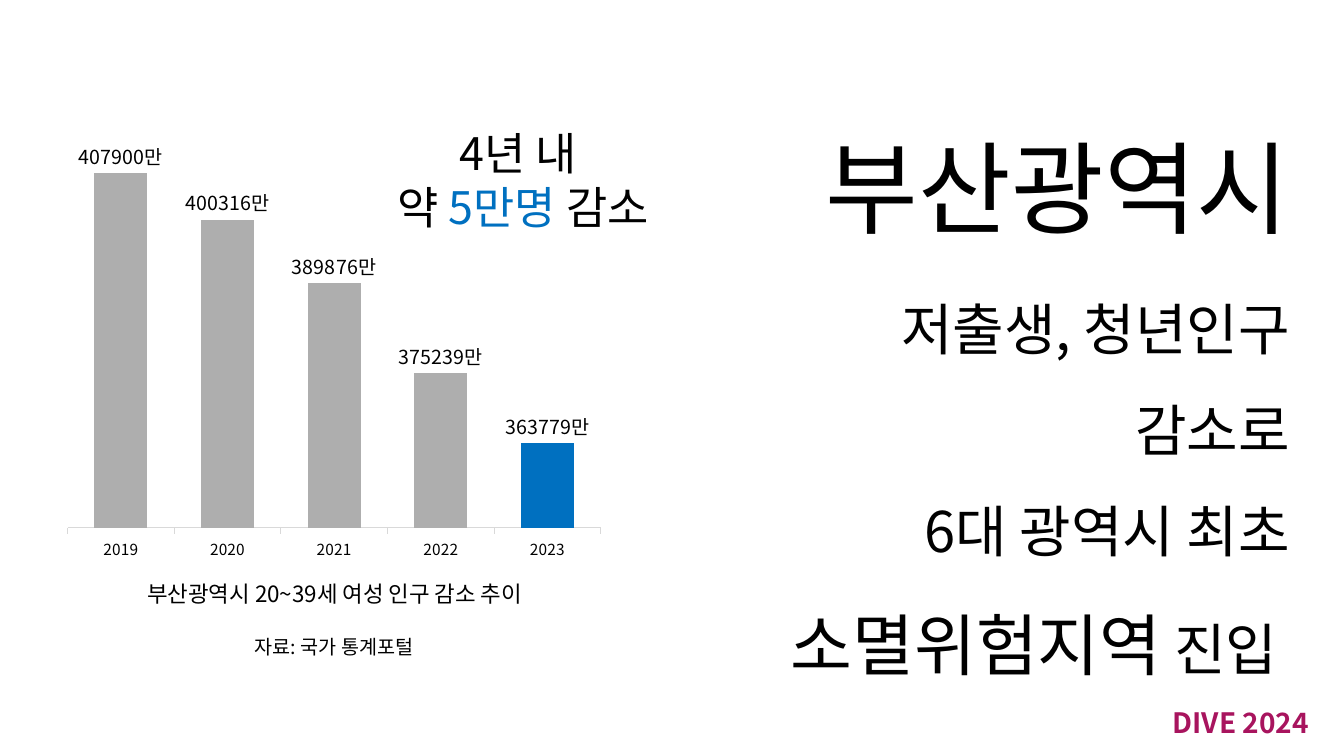
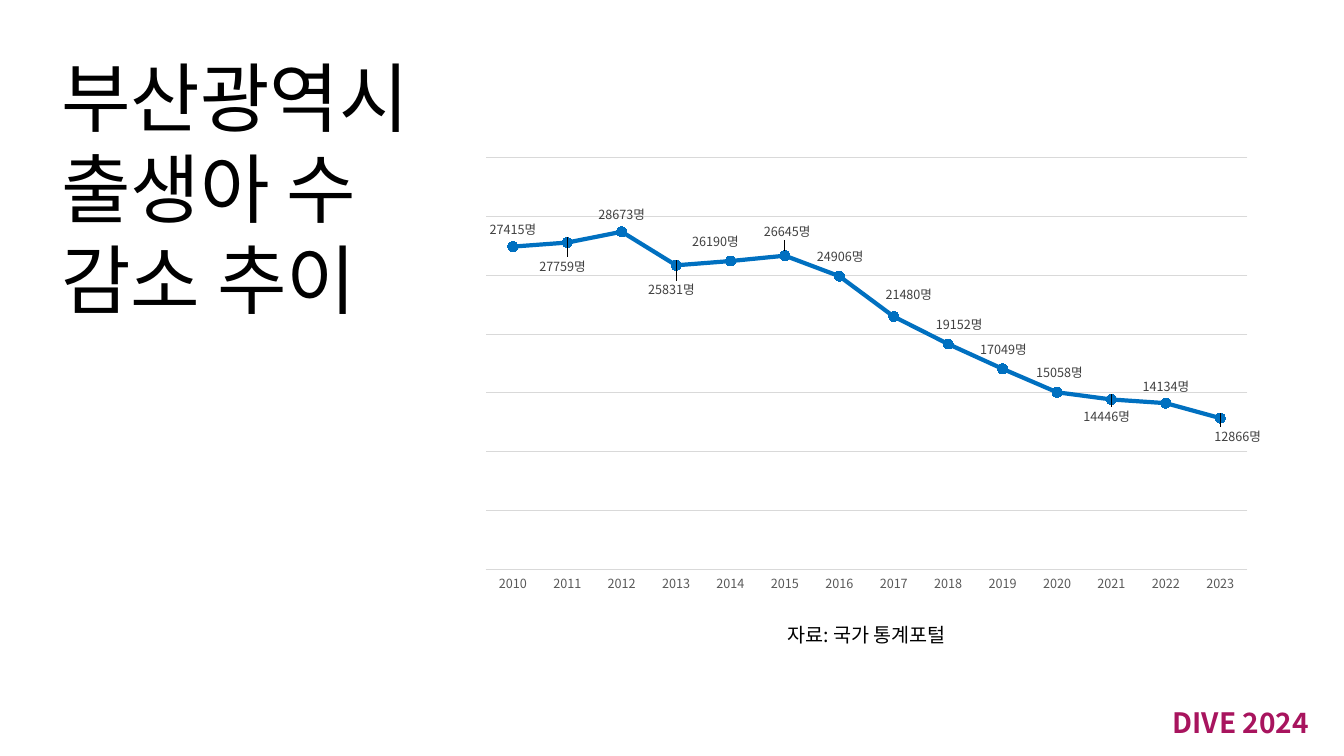
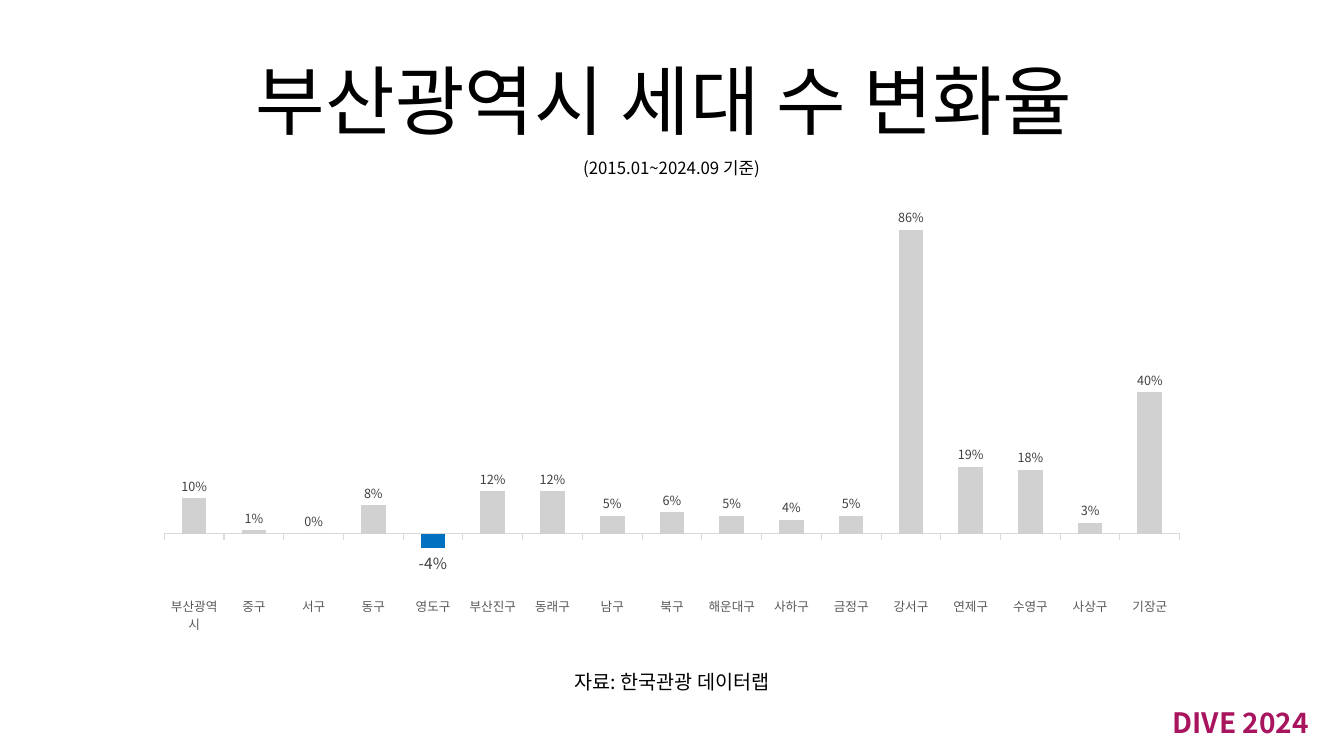
from lxml.etree import SubElement
from pptx import Presentation
from pptx.chart.data import CategoryChartData
from pptx.dml.color import RGBColor
from pptx.enum.chart import (XL_CHART_TYPE, XL_LABEL_POSITION, XL_MARKER_STYLE,
                             XL_TICK_LABEL_POSITION, XL_TICK_MARK)
from pptx.enum.text import MSO_ANCHOR, MSO_AUTO_SIZE, PP_ALIGN
from pptx.oxml import parse_xml
from pptx.oxml.ns import nsdecls, qn
from pptx.util import Inches, Pt

FONT = "Noto Sans CJK KR"
BLACK, BLUE, RULE = "000000", "0070C0", "D9D9D9"
AXIS_GREY, LABEL_GREY = "595959", "404040"
BRAND_STOPS = ((0, "501649"), (64, "A8145E"), (100, "F21A7C"))
LEFT, CENTER, RIGHT = PP_ALIGN.LEFT, PP_ALIGN.CENTER, PP_ALIGN.RIGHT


def color(value):
    """Turn a hex string into a colour."""
    return RGBColor.from_string(value)


def style_font(font, size, fill=BLACK, bold=False):
    """Give a font the deck's typeface, a size and a colour."""
    font.size, font.bold, font.name = Pt(size), bold, FONT
    font.fill.solid()
    font.fill.fore_color.rgb = color(fill)
    SubElement(font._rPr, qn("a:ea")).set("typeface", FONT)


def add_text(page, box, paragraphs, size, align=CENTER, fill=BLACK, bold=False,
             spacing=None, anchor=MSO_ANCHOR.TOP):
    """Place paragraphs, each a string or a list of (text, format) spans."""
    shape = page.shapes.add_textbox(*map(Inches, box))
    frame = shape.text_frame
    frame.word_wrap = True
    frame.vertical_anchor = anchor
    if anchor == MSO_ANCHOR.TOP:
        frame.auto_size = MSO_AUTO_SIZE.SHAPE_TO_FIT_TEXT
    for index, spans in enumerate(paragraphs):
        para = frame.add_paragraph() if index else frame.paragraphs[0]
        para.alignment = align
        if spacing:
            para.line_spacing = spacing
        for text, changes in [(spans, {})] if isinstance(spans, str) else spans:
            span = para.add_run()
            span.text = text
            style_font(span.font, **{"size": size, "fill": fill, "bold": bold, **changes})
    return shape


def add_brand(page):
    """Place the gradient event name at the lower right."""
    shape = add_text(page, (11.38, 6.95, 1.85, 0.44), ["DIVE 2024"], 20, bold=True)
    properties = shape.text_frame.paragraphs[0].runs[0].font._rPr
    stops = "".join(f'<a:gs pos="{place * 1000}"><a:srgbClr val="{tone}"/></a:gs>'
                    for place, tone in BRAND_STOPS)
    gradient = parse_xml(f'<a:gradFill {nsdecls("a")}><a:gsLst>{stops}</a:gsLst>'
                         '<a:lin ang="5400000" scaled="0"/></a:gradFill>')
    properties.replace(properties.find(qn("a:solidFill")), gradient)


def add_source(page, left, top, name):
    """Place the line that names the data source."""
    add_text(page, (left, top, 3.81, 0.34), [f"자료: {name}"], 14)


def manual_layout(x, y, extra=""):
    """Build a chart layout from fractions of the chart."""
    return parse_xml(f'<c:layout {nsdecls("c")}><c:manualLayout>{extra}'
                     f'<c:x val="{x}"/><c:y val="{y}"/></c:manualLayout></c:layout>')


def add_chart(page, box, kind, categories, values, number_format, position,
              axis_size, label_size, axis_fill=AXIS_GREY, label_fill=LABEL_GREY,
              tick=XL_TICK_MARK.OUTSIDE, low=None, high=None, step=None):
    """Place a one-series chart with value labels and a hidden value axis."""
    data = CategoryChartData()
    data.categories = categories
    data.add_series("Series 1", values)
    chart = page.shapes.add_chart(kind, *map(Inches, box), data).chart
    chart.has_legend = chart.has_title = False
    style_font(chart.font, 10)
    axis = chart.category_axis
    axis.major_tick_mark, axis.minor_tick_mark = tick, XL_TICK_MARK.NONE
    axis.has_major_gridlines = False
    style_font(axis.tick_labels.font, axis_size, axis_fill)
    scale = chart.value_axis
    scale.visible = scale.has_major_gridlines = False
    scale.minimum_scale, scale.maximum_scale, scale.major_unit = low, high, step
    style_line(axis.format.line, RULE, 0.75)
    plot = chart.plots[0]
    plot.vary_by_categories = False
    labels = plot.series[0].data_labels
    labels.show_value, labels.position = True, position
    labels.number_format, labels.number_format_is_linked = number_format, False
    style_font(labels.font, label_size, label_fill)
    return chart


def style_line(line, fill, width):
    """Set a line's colour and width."""
    line.color.rgb, line.width = color(fill), Pt(width)


def fill_columns(chart, fill, gap, overlap, highlight):
    """Colour the columns and pick one out in blue."""
    plot = chart.plots[0]
    plot.gap_width, plot.overlap = gap, overlap
    series = plot.series[0]
    series.invert_if_negative = False
    for target, tone in ((series, fill), (series.points[highlight], BLUE)):
        target.format.fill.solid()
        target.format.fill.fore_color.rgb = color(tone)


def format_point_label(series, index, size, position, number_format, shift=None):
    """Format one point's label and move it by percentages of the chart."""
    label = series.points[index].data_label
    style_font(label.font, size, LABEL_GREY)
    label.position = position
    entry = next(item for item in series._element.iter(qn("c:dLbl"))
                 if item.find(qn("c:idx")).get("val") == str(index))
    code = parse_xml(f'<c:numFmt {nsdecls("c")} sourceLinked="0"/>')
    code.set("formatCode", number_format)
    previous = entry.find(qn("c:idx"))
    if shift:
        layout = manual_layout(shift[0] / 100, shift[1] / 100)
        previous.addnext(layout)
        previous = layout
    previous.addnext(code)


def women_chart(page, box):
    """Place the column chart of women aged 20 to 39."""
    chart = add_chart(page, box, XL_CHART_TYPE.COLUMN_CLUSTERED,
                      [str(year) for year in range(2019, 2024)],
                      [407900, 400316, 389876, 375239, 363779],
                      '#"만"', XL_LABEL_POSITION.OUTSIDE_END, 11, 14, BLACK, BLACK,
                      low=350000, high=415000, step=5000)
    fill_columns(chart, "AEAEAE", 101, -18, 4)
    area = chart._chartSpace.chart.plotArea
    for layout in area.findall(qn("c:layout")):
        area.remove(layout)
    layout = manual_layout(0.02, 0.02, '<c:layoutTarget val="inner"/>'
                           '<c:xMode val="edge"/><c:yMode val="edge"/>')
    for name, share in (("c:w", 0.96), ("c:h", 0.92)):
        SubElement(layout[0], qn(name)).set("val", str(share))
    area.insert(0, layout)


def births_chart(page, box):
    """Place the line chart of births."""
    number_format, position = '#"명"', XL_LABEL_POSITION.ABOVE
    chart = add_chart(page, box, XL_CHART_TYPE.LINE_MARKERS,
                      [str(year) for year in range(2010, 2024)],
                      [27415, 27759, 28673, 25831, 26190, 26645, 24906,
                       21480, 19152, 17049, 15058, 14446, 14134, 12866],
                      number_format, position, 9, 9, tick=XL_TICK_MARK.NONE,
                      low=0, high=35000, step=5000)
    chart.value_axis.has_major_gridlines = True
    style_line(chart.value_axis.major_gridlines.format.line, RULE, 0.75)
    series = chart.plots[0].series[0]
    series.smooth = False
    style_line(series.format.line, BLUE, 3)
    marker = series.marker
    marker.style, marker.size = XL_MARKER_STYLE.CIRCLE, 7
    marker.format.fill.solid()
    marker.format.fill.fore_color.rgb = color(BLUE)
    style_line(marker.format.line, BLUE, 0.75)
    shifts = {1: (-0.6, 9), 3: (-0.6, 9.2), 4: (-1.9, -0.5), 5: (0.3, -1.5),
              6: (0.1, -0.5), 7: (1.9, -1.1), 8: (1.4, -0.5), 9: (0.1, -0.5),
              10: (0.3, -0.5), 11: (-0.6, 7.5), 13: (2.2, 7.8)}
    for index, shift in shifts.items():
        format_point_label(series, index, 9, position, number_format, shift)


def households_chart(page, box):
    """Place the column chart of household change by district."""
    position = XL_LABEL_POSITION.OUTSIDE_END
    districts = ("부산광역시 중구 서구 동구 영도구 부산진구 동래구 남구 북구 "
                 "해운대구 사하구 금정구 강서구 연제구 수영구 사상구 기장군").split()
    rates = [0.1, 0.01, 0, 0.08, -0.04, 0.12, 0.12, 0.05, 0.06,
             0.05, 0.04, 0.05, 0.86, 0.19, 0.18, 0.03, 0.4]
    chart = add_chart(page, box, XL_CHART_TYPE.COLUMN_CLUSTERED, districts, rates,
                      "0%", position, 9, 9, low=-0.15, high=1.05)
    chart.category_axis.tick_label_position = XL_TICK_LABEL_POSITION.LOW
    fill_columns(chart, "D1D1D1", 142, -27, 4)
    format_point_label(chart.plots[0].series[0], 4, 11, position, "0%")


def risk_page(page):
    """Build the page on the city becoming an area at risk."""
    add_text(page, (7.38, 1.2, 5.51, 1.31), ["부산광역시"], 72, RIGHT)
    add_text(page, (7.38, 2.54, 5.51, 3.17),
             ["저출생, 청년인구 감소로", "6대 광역시 최초",
              [("소멸위험지역", {"size": 48}), (" 진입 ", {})]],
             40, RIGHT, spacing=1.5)
    women_chart(page, (0.56, 1.2, 5.51, 4.35))
    add_source(page, 1.41, 6.25, "국가 통계포털")
    add_text(page, (1.23, 5.71, 4.18, 0.37), ["부산광역시 20~39세 여성 인구 감소 추이"], 16)
    add_text(page, (3.81, 1.2, 2.76, 1.18),
             ["4년 내 ", [("약 ", {}), ("5만명 ", {"fill": BLUE}), ("감소", {})]], 32)


def births_page(page):
    """Build the page on falling births."""
    add_text(page, (0.51, 0.46, 4.36, 2.83), ["부산광역시", "출생아 수", "감소 추이"], 54, LEFT)
    births_chart(page, (4.66, 1.47, 7.87, 4.49))
    add_source(page, 6.69, 6.13, "국가 통계포털")


def households_page(page):
    """Build the page on household change."""
    households_chart(page, (1.42, 1.52, 10.49, 4.85))
    add_source(page, 4.76, 6.6, "한국관광 데이터랩")
    add_text(page, (0.92, 0.32, 11.5, 1.45), ["부산광역시 세대 수 변화율 "], 54,
             spacing=0.9, anchor=MSO_ANCHOR.MIDDLE)
    add_text(page, (5.2, 1.52, 2.92, 0.3), ["(2015.01~2024.09 기준)"], 12)


def main():
    """Build and save the deck."""
    deck = Presentation()
    deck.slide_width, deck.slide_height = Inches(13.33), Inches(7.5)
    for build in (risk_page, births_page, households_page):
        page = deck.slides.add_slide(deck.slide_layouts[6])
        add_brand(page)
        build(page)
    deck.save("out.pptx")


if __name__ == "__main__":
    main()
